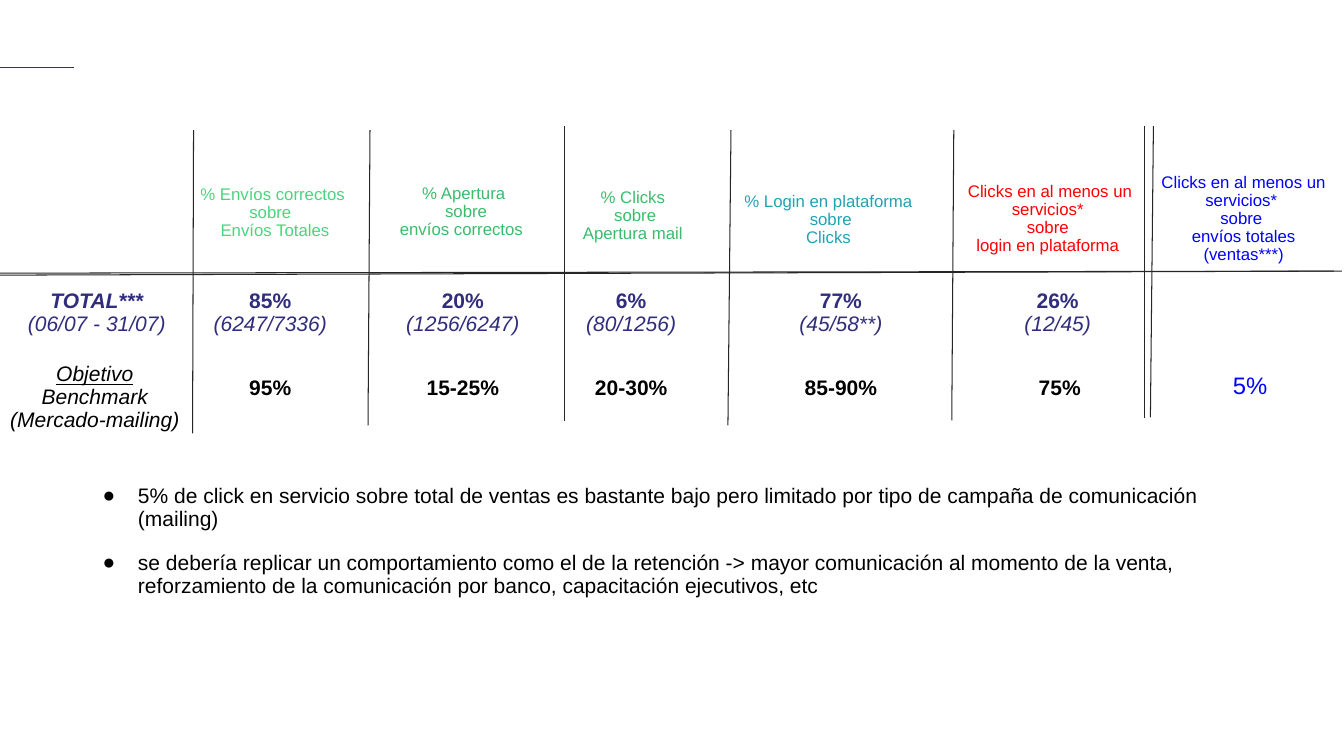
from lxml.etree import SubElement
from pptx import Presentation
from pptx.dml.color import RGBColor
from pptx.enum.shapes import MSO_CONNECTOR
from pptx.enum.text import MSO_ANCHOR, MSO_AUTO_SIZE, PP_ALIGN
from pptx.oxml.ns import qn
from pptx.util import Emu, Pt

PX = 9144  # 100 px to the inch
COLORS = {
    "navy": "302D7D", "black": "000000", "rule": "262626", "mint": "49D57D",
    "green": "3BBC6B", "teal": "22A2B2", "red": "FF0000", "blue": "0000FF",
}
BOLD = {"bold": True}
ITALIC = {"italic": True}

HEADERS = [
    ((178, 175, 185, 73), "mint", ["% Envíos correctos", "sobre ", " Envíos Totales"]),
    ((382, 174, 156, 73), "green", ["% Apertura", " sobre", "envíos correctos "]),
    ((566, 181, 128, 67), "green", ["% Clicks ", "sobre", "Apertura mail "]),
    ((718, 185, 212, 67), "teal", ["% Login en plataforma ", "sobre", "Clicks "]),
    ((924, 181, 235, 73), "red",
     ["Clicks en al menos un servicios* ", "sobre ", "login en plataforma "]),
    ((1141, 181, 185, 73), "blue",
     ["Clicks en al menos un servicios* ", "sobre ", "envíos totales (ventas***)"]),
]
# left of total, left of target, rate, count, target
RATES = [
    (197, 197, "85%", "(6247/7336)", "95%"),
    (388, 388, "20%", "(1256/6247)", "15-25%"),
    (555, 555, "6%", "(80/1256)", "20-30%"),
    (763, 763, "77%", "(45/58**)", "85-90%"),
    (978, 980, "26%", "(12/45)", "75%"),
]
RULES = [
    (-17, 273, 1323, 269), (-1, 271, 1331, 269),
    (192, 129, 191, 430), (367, 129, 365, 422), (560, 125, 560, 418),
    (725, 129, 722, 422), (946, 129, 944, 417),
    (1135, 125, 1135, 415), (1144, 125, 1141, 414),
]
CONCLUSIONS = [
    "5% de click en servicio sobre total de ventas es bastante bajo pero limitado "
    "por tipo de campaña de comunicación (mailing)",
    "se debería replicar un comportamiento como el de la retención -> mayor "
    "comunicación al momento de la venta, reforzamiento de la comunicación por "
    "banco, capacitación ejecutivos, etc",
]


class SlideBuilder:
    def __init__(self, slide, font_name):
        self.slide = slide
        self.font_name = font_name

    def line(self, points, color, width=0.75):
        connector = self.slide.shapes.add_connector(
            MSO_CONNECTOR.STRAIGHT, *(Emu(value * PX) for value in points))
        connector.line.color.rgb = RGBColor.from_string(COLORS[color])
        connector.line.width = Pt(width)
        SubElement(connector.element.spPr, qn("a:effectLst"))

    def title(self, box, lines, color, size):
        shape = self.slide.shapes.title
        for name, value in zip(("left", "top", "width", "height"), box):
            setattr(shape, name, Emu(value * PX))
        self.fill_text(shape, lines, color, size)

    def text(self, box, lines, color, size, align=PP_ALIGN.CENTER):
        shape = self.slide.shapes.add_textbox(*(Emu(value * PX) for value in box))
        self.fill_text(shape, lines, color, size, align)
        return shape

    def fill_text(self, shape, lines, color, size, align=PP_ALIGN.CENTER):
        """Write one paragraph for each (text, font format) pair."""
        frame = shape.text_frame
        frame_format = {
            "word_wrap": True, "auto_size": MSO_AUTO_SIZE.NONE,
            "vertical_anchor": MSO_ANCHOR.MIDDLE,
            "margin_left": Emu(10 * PX), "margin_right": Emu(10 * PX),
            "margin_top": Emu(5 * PX), "margin_bottom": Emu(5 * PX),
        }
        for name, value in frame_format.items():
            setattr(frame, name, value)
        for index, (words, font_format) in enumerate(lines):
            paragraph = frame.add_paragraph() if index else frame.paragraphs[0]
            paragraph.alignment = align
            paragraph.line_spacing = 0.9
            run = paragraph.add_run()
            run.text = words
            run.font.color.rgb = RGBColor.from_string(COLORS[color])
            base = {"name": self.font_name, "size": Pt(size), "bold": False}
            for name, value in (base | font_format).items():
                setattr(run.font, name, value)

    def bullets(self, box, items, color, size):
        shape = self.text(box, [(item, {}) for item in items], color, size, PP_ALIGN.LEFT)
        for index, paragraph in enumerate(shape.text_frame.paragraphs):
            if index:
                paragraph.space_before = Pt(15.5)
            properties = paragraph._p.get_or_add_pPr()
            properties.set("marL", str(50 * PX))
            properties.set("indent", str(-35 * PX))
            bullet_color = SubElement(properties, qn("a:buClr"))
            SubElement(bullet_color, qn("a:srgbClr"), val=COLORS[color])
            SubElement(properties, qn("a:buFont"), typeface=self.font_name)
            SubElement(properties, qn("a:buChar"), char="●")


def main():
    presentation = Presentation()
    presentation.slide_width = Emu(1333 * PX)
    presentation.slide_height = Emu(750 * PX)
    title_only = presentation.slide_layouts[5]
    builder = SlideBuilder(presentation.slides.add_slide(title_only), "Arial")

    builder.line((-2, 67, 73, 67), "navy", 1)
    for points in RULES:
        builder.line(points, "rule")

    builder.title((13, 277, 166, 67),
                  [("TOTAL***", BOLD | ITALIC), ("(06/07 - 31/07)", ITALIC)], "navy", 15)
    builder.text((-12, 361, 212, 67),
                 [("Objetivo", ITALIC | {"underline": True}), ("Benchmark", ITALIC),
                  ("(Mercado-mailing)", ITALIC)], "black", 15)

    for box, color, lines in HEADERS:
        builder.text(box, [(words, {}) for words in lines], color, 12)
    for total_left, target_left, rate, count, target in RATES:
        builder.text((total_left, 277, 142, 67), [(rate, BOLD), (count, ITALIC)], "navy", 15)
        builder.text((target_left, 352, 142, 67), [(target, BOLD)], "black", 15)
    builder.text((1213, 354, 69, 59), [("5%", {})], "blue", 17, PP_ALIGN.LEFT)

    builder.bullets((77, 476, 1151, 123), CONCLUSIONS, "black", 15)
    presentation.save("out.pptx")


if __name__ == "__main__":
    main()
